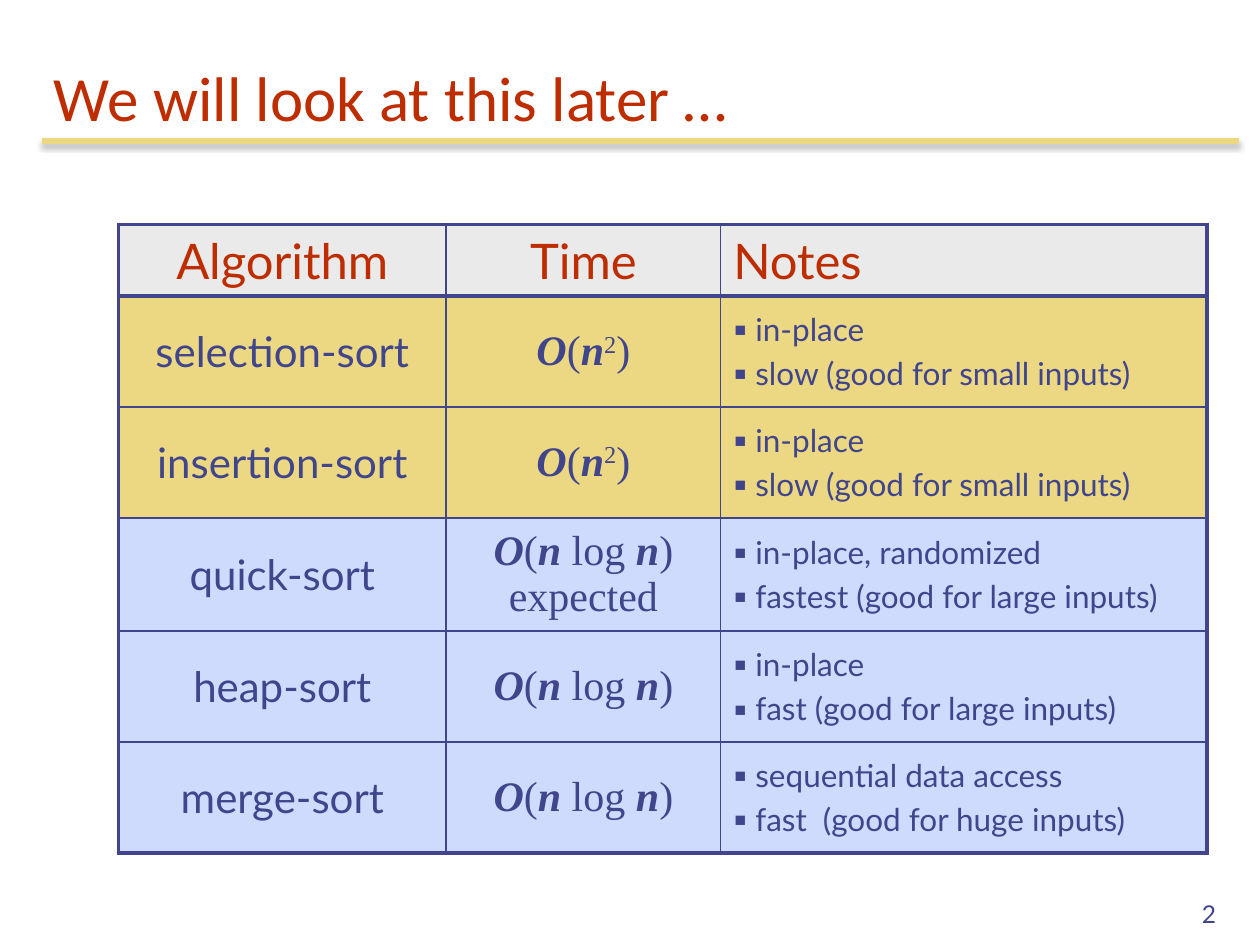
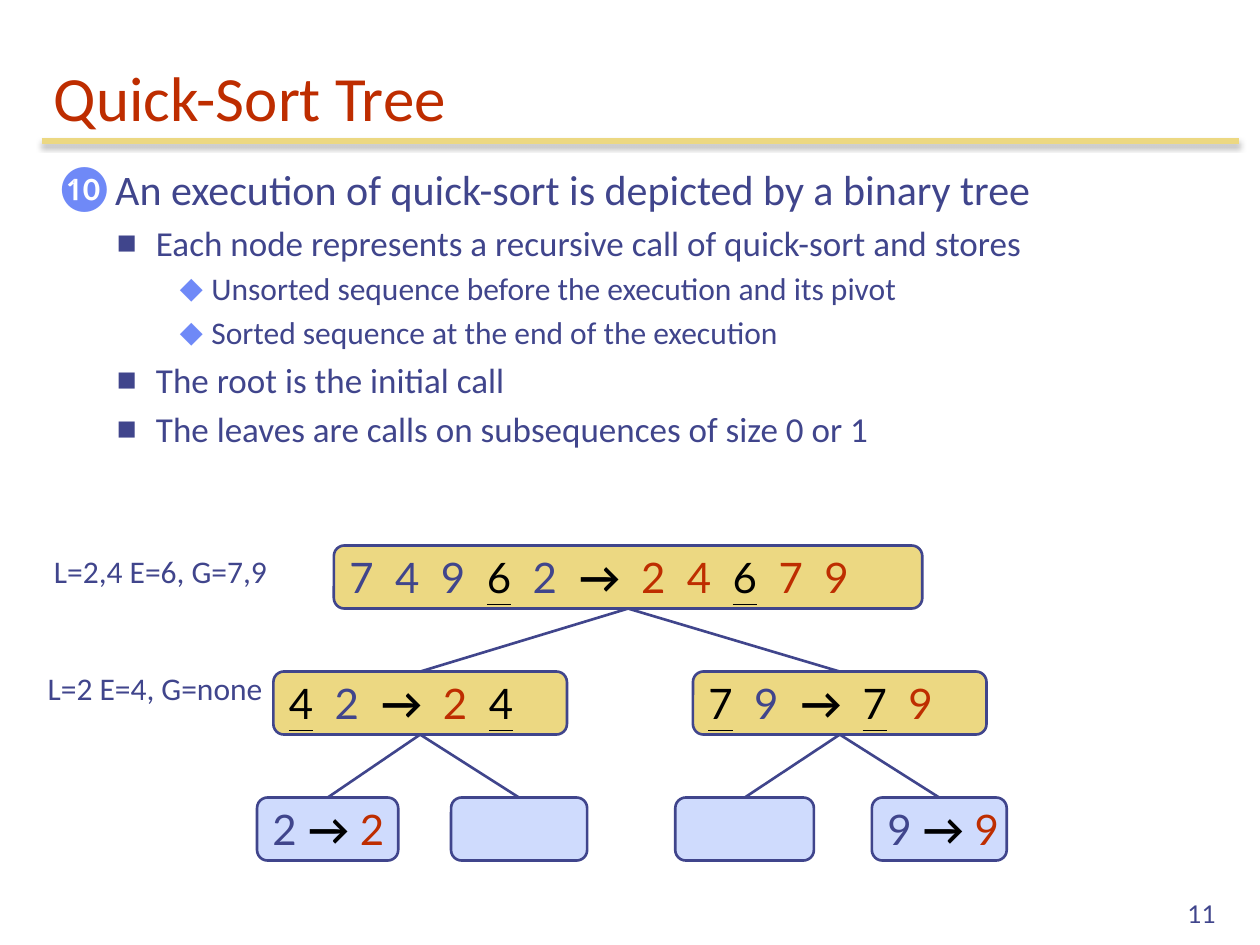
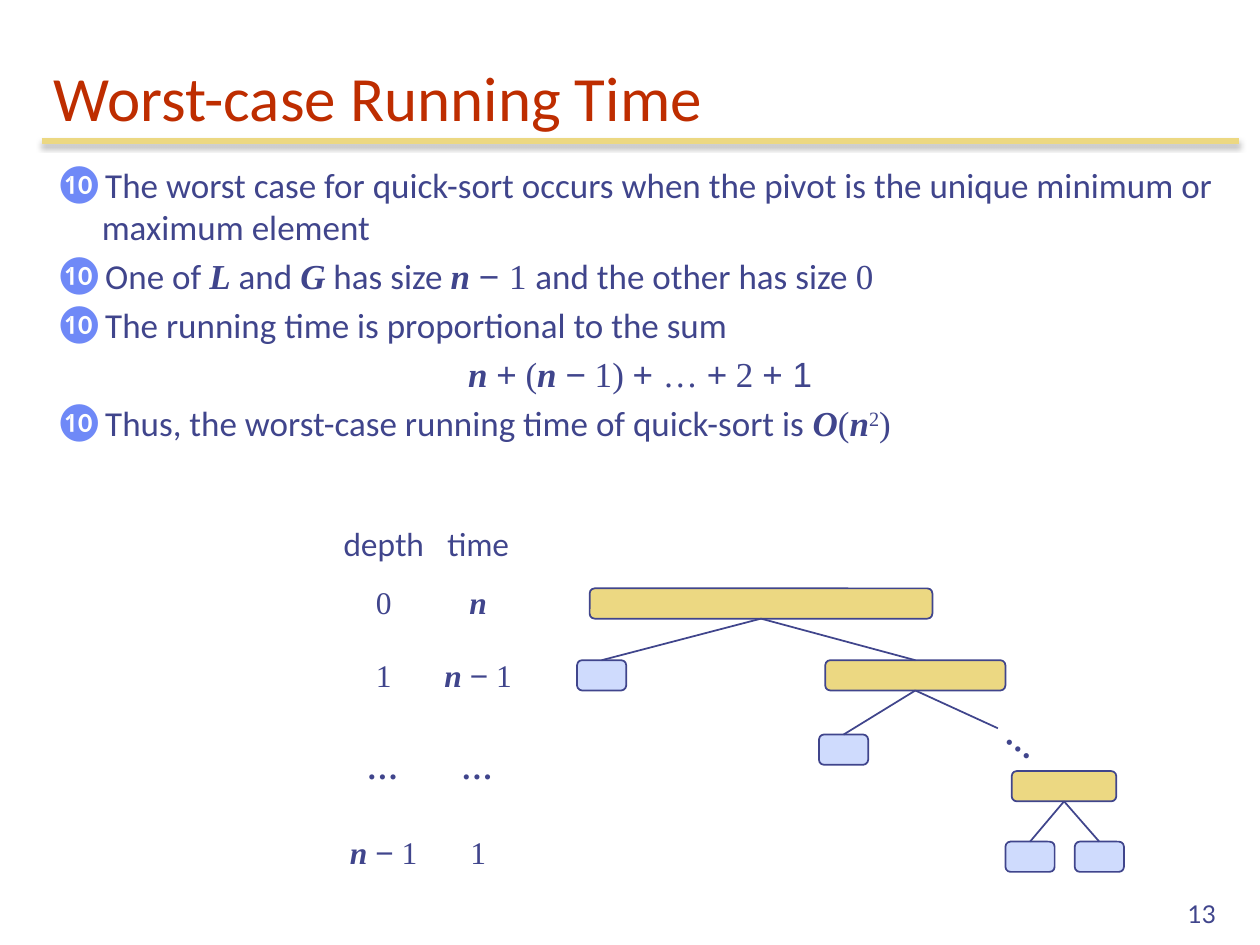
from dataclasses import dataclass
from typing import Optional

from lxml.etree import SubElement
from pptx import Presentation
from pptx.dml.color import RGBColor
from pptx.enum.shapes import MSO_CONNECTOR as Connector, MSO_SHAPE as Preset
from pptx.enum.text import MSO_ANCHOR as Anchor, PP_ALIGN as Align
from pptx.oxml.ns import qn
from pptx.util import Inches, Pt


@dataclass(frozen=True)
class Theme:
    """Colours, fonts and type sizes shared by all slides."""
    ink: str = "40458C"
    red: str = "BE2D00"
    gold: str = "ECD882"
    pale: str = "CFDBFD"
    grey: str = "EAEAEA"
    accent: str = "6F89F7"
    black: str = "000000"
    heading: str = "Calibri"
    label: str = "Lato"
    serif: str = "Times New Roman"
    symbol: str = "Arial"
    title: int = 36
    header: int = 28
    large: int = 24
    medium: int = 20
    small: int = 18
    page: int = 14
    thick: float = 2.25
    medium_line: float = 1.5
    thin: float = 1


THEME = Theme()


@dataclass(frozen=True)
class Box:
    """A region of the slide in inches."""
    left: float
    top: float
    width: float
    height: float

    def inside(self, left, top, width, height):
        """Return a box placed relative to this one."""
        return Box(self.left + left, self.top + top, width, height)

    def lengths(self):
        """Return the four measures as lengths."""
        return [Inches(v) for v in (self.left, self.top, self.width, self.height)]


@dataclass(frozen=True)
class Run:
    """A piece of text that differs from its paragraph's format."""
    text: str
    font: Optional[str] = None
    color: Optional[str] = None
    bold: bool = False
    italic: bool = False
    underline: bool = False
    raised: bool = False


@dataclass(frozen=True)
class Bullet:
    """A list marker with its indents in inches."""
    char: Optional[str]
    color: str
    percent: int
    left: float = 0
    hang: float = 0


@dataclass(frozen=True)
class Node:
    """A tree node placed relative to the tree's box."""
    left: float
    top: float
    width: float
    parent: Optional[int] = None
    content: tuple = ()
    leaf: bool = False


TOP = Bullet("❿", THEME.accent, 110, 0.38, 0.38)
SQUARE = Bullet("■", THEME.ink, 60, 0.81, 0.31)
DIAMOND = Bullet("◆", THEME.accent, 95, 1.25, 0.25)
UNMARKED = Bullet(None, THEME.ink, 100, 0.38, 0.38)
NOTE = Bullet("▪", THEME.ink, 110)
BODY = Box(0.33, 1.25, 9.5, 5.67)


def variable(text):
    """Return a bold italic mathematical variable."""
    return Run(text, font=THEME.serif, bold=True, italic=True)


def serif(text):
    """Return upright mathematical text."""
    return Run(text, font=THEME.serif)


def sign(text):
    """Return an arithmetic sign."""
    return Run(text, font=THEME.symbol)


def pivot(text):
    """Return an underlined pivot element."""
    return Run(text, color=THEME.black, underline=True)


def arrow(text):
    """Return the bold arrow between input and output."""
    return Run(text, color=THEME.black, bold=True)


def output(text):
    """Return sorted elements."""
    return Run(text, color=THEME.red)


QUADRATIC = (variable("O"), serif("("), variable("n"),
             Run("2", font=THEME.serif, raised=True), serif(")"))
LOG_START = (variable("O"), serif("("), variable("n"), serif(" log "), variable("n"))
LINEARITHMIC = LOG_START + (serif(")"),)
LESS_ONE = (variable("n "), sign("−"), serif(" 1"))


def rgb(color):
    """Return a colour object for a hex string."""
    return RGBColor.from_string(color)


def style_paragraph(paragraph, bullet, font, spaced):
    """Set proportional spacing and the list marker in the text's font."""
    properties = paragraph._p.get_or_add_pPr()
    if spaced:
        before = SubElement(properties, qn("a:spcBef"))
        SubElement(before, qn("a:spcPct"), val="20000")
    if bullet is None:
        return
    properties.set("marL", str(Inches(bullet.left)))
    properties.set("indent", str(-Inches(bullet.hang)))
    if bullet.char is None:
        SubElement(properties, qn("a:buNone"))
        return
    color = SubElement(properties, qn("a:buClr"))
    SubElement(color, qn("a:srgbClr"), val=bullet.color)
    SubElement(properties, qn("a:buSzPct"), val=str(bullet.percent * 1000))
    SubElement(properties, qn("a:buFont"), typeface=font)
    SubElement(properties, qn("a:buChar"), char=bullet.char)


def write(frame, content, *, size, font=THEME.label, color=THEME.ink,
          align=Align.LEFT, bullet=None, spaced=False):
    """Write one paragraph from a string or a sequence of strings and runs."""
    first = frame.paragraphs[0]
    paragraph = frame.add_paragraph() if first.runs else first
    paragraph.alignment = align
    style_paragraph(paragraph, bullet, font, spaced)
    for part in (content,) if isinstance(content, str) else content:
        piece = Run(part) if isinstance(part, str) else part
        for number, line in enumerate(piece.text.split("\n")):
            if number:
                paragraph.add_line_break()
            run = paragraph.add_run()
            run.text = line
            run.font.size = Pt(size)
            run.font.name = piece.font or font
            run.font.color.rgb = rgb(piece.color or color)
            run.font.bold = piece.bold
            run.font.italic = piece.italic
            run.font.underline = piece.underline
            if piece.raised:
                run.font._element.set("baseline", "30000")


def add_frame(slide, box, *, anchor=Anchor.TOP, wrap=True, rotation=0):
    """Add a text box and return its text frame."""
    shape = slide.shapes.add_textbox(*box.lengths())
    shape.rotation = rotation
    shape.text_frame.word_wrap = wrap
    shape.text_frame.vertical_anchor = anchor
    return shape.text_frame


def add_line(slide, start, end, color, width):
    """Add a straight connector and return it with its empty effect list."""
    line = slide.shapes.add_connector(
        Connector.STRAIGHT, *[Inches(v) for v in (*start, *end)])
    line.line.color.rgb = rgb(color)
    line.line.width = Pt(width)
    return line, SubElement(line._element.spPr, qn("a:effectLst"))


def add_base(presentation, title, page):
    """Add a slide with its title, shadowed rule and page number."""
    slide = presentation.slides.add_slide(presentation.slide_layouts[6])
    box = Box(0.33, 0.33, 9.5, 0.78)
    rule_top = box.top + box.height + 0.01
    effects = add_line(slide, (box.left, rule_top), (box.left + box.width, rule_top),
                       THEME.gold, 3)[1]
    shadow = SubElement(effects, qn("a:outerShdw"), blurRad=str(Pt(3.1)),
                        dist=str(Pt(1.8)), dir="5400000", rotWithShape="0")
    color = SubElement(shadow, qn("a:srgbClr"), val=THEME.black)
    SubElement(color, qn("a:alpha"), val="35000")
    write(add_frame(slide, box, anchor=Anchor.BOTTOM), title,
          size=THEME.title, font=THEME.heading, color=THEME.red)
    write(add_frame(slide, Box(7.67, 6.92, 2.08, 0.5), anchor=Anchor.BOTTOM),
          str(page), size=THEME.page, align=Align.RIGHT)
    return slide


def add_body(slide, box, items):
    """Add a list of (bullet, size, content) items."""
    frame = add_frame(slide, box)
    for bullet, size, content in items:
        align = Align.CENTER if bullet is UNMARKED else Align.LEFT
        write(frame, content, size=size, font=THEME.heading, align=align,
              bullet=bullet, spaced=True)


def add_grid(slide, box, widths, heights):
    """Add an unbanded table with the given column widths and row heights."""
    table = slide.shapes.add_table(len(heights), len(widths), *box.lengths()).table
    table.first_row = table.horz_banding = False
    for column, width in zip(table.columns, widths):
        column.width = Inches(width)
    for row, height in zip(table.rows, heights):
        row.height = Inches(height)
    return table


def set_borders(cell, widths):
    """Draw the left, right, top and bottom borders of a cell."""
    properties = cell._tc.get_or_add_tcPr()
    for index, (side, width) in enumerate(zip("LRTB", widths)):
        line = properties.makeelement(qn(f"a:ln{side}"), {"w": str(Pt(width))})
        fill = SubElement(line, qn("a:solidFill"))
        SubElement(fill, qn("a:srgbClr"), val=THEME.ink)
        properties.insert(index, line)


def add_sort_table(slide, box, headings, rows):
    """Add the comparison of sorting algorithms."""
    table = add_grid(slide, box, (2.6, 2.18, 3.86), (0.57, 0.88, 0.88, 0.9, 0.88, 0.88))
    last = len(rows)
    fills = [THEME.grey] + [THEME.gold] * 2 + [THEME.pale] * 3
    for r, values in enumerate([headings] + rows):
        for c, value in enumerate(values):
            cell = table.cell(r, c)
            cell.vertical_anchor = Anchor.MIDDLE
            cell.fill.solid()
            cell.fill.fore_color.rgb = rgb(fills[r])
            edges = (c == 0, c == 2, r <= 1, r in (0, last))
            set_borders(cell, [THEME.thick if edge else THEME.thin for edge in edges])
            align = Align.LEFT if c == 2 else Align.CENTER
            if r == 0:
                write(cell.text_frame, value, size=THEME.header, color=THEME.red,
                      align=align, spaced=True)
            elif c == 2:
                for note in value:
                    write(cell.text_frame, " " + note, size=THEME.small,
                          bullet=NOTE, spaced=True)
            else:
                write(cell.text_frame, value, size=THEME.large, align=align, spaced=True)


def add_depth_table(slide, box, rows):
    """Add the unruled table of depth and time."""
    table = add_grid(slide, box, [box.width / 2] * 2, (0.34, 0.56, 0.6, 0.87, 0.47))
    for r, values in enumerate(rows):
        for c, value in enumerate(values):
            cell = table.cell(r, c)
            cell.fill.background()
            cell.vertical_anchor = Anchor.MIDDLE if r else Anchor.TOP
            cell.margin_left = cell.margin_right = cell.margin_top = cell.margin_bottom = 0
            write(cell.text_frame, value, size=THEME.small, align=Align.CENTER, spaced=True)


def add_tree(slide, box, nodes, height, width):
    """Add rounded nodes, join each to its parent and return the shapes."""
    shapes = []
    for node in nodes:
        place = box.inside(node.left, node.top, node.width, height)
        shape = slide.shapes.add_shape(Preset.ROUNDED_RECTANGLE, *place.lengths())
        shape.shadow.inherit = False
        shape.fill.solid()
        shape.fill.fore_color.rgb = rgb(THEME.pale if node.leaf else THEME.gold)
        shape.line.color.rgb = rgb(THEME.ink)
        shape.line.width = Pt(width)
        if node.content:
            shape.text_frame.word_wrap = False
            shape.text_frame.vertical_anchor = Anchor.MIDDLE
            write(shape.text_frame, node.content, size=THEME.large)
        shapes.append(shape)
    for node, shape in zip(nodes, shapes):
        if node.parent is not None:
            line = add_line(slide, (0, 0), (0, 0), THEME.ink, width)[0]
            line.begin_connect(shapes[node.parent], 2)
            line.end_connect(shape, 0)
    return shapes


def add_worst_tree(slide, box):
    """Add the lopsided tree with its elided branch."""
    nodes = [
        Node(0.1, 0, 2.72),
        Node(0, 0.57, 0.39, 0, leaf=True),
        Node(1.97, 0.57, 1.43, 0),
        Node(1.92, 1.16, 0.39, 2, leaf=True),
        Node(3.45, 1.45, 0.83),
        Node(3.4, 2.01, 0.39, 4, leaf=True),
        Node(3.95, 2.01, 0.39, 4, leaf=True),
    ]
    shapes = add_tree(slide, box, nodes, 0.24, THEME.thin)
    end = (box.left + 3.34, box.top + 1.11)
    add_line(slide, end, end, THEME.ink, THEME.thin)[0].begin_connect(shapes[2], 2)
    dots = add_frame(slide, box.inside(3.35, 0.95, 0.47, 0.5), wrap=False, rotation=38.4)
    write(dots, "…", size=THEME.large)


def build_comparison(presentation):
    """Build the slide that compares the algorithms."""
    slide = add_base(presentation, "We will look at this later …", 2)
    slow = ("in-place", "slow (good for small inputs)")
    add_sort_table(slide, Box(0.94, 1.78, 8.64, 4.99), ("Algorithm", "Time", "Notes"), [
        ("selection-sort", QUADRATIC, slow),
        ("insertion-sort", QUADRATIC, slow),
        ("quick-sort", LOG_START + (serif(")\nexpected"),),
         ("in-place, randomized", "fastest (good for large inputs)")),
        ("heap-sort", LINEARITHMIC, ("in-place", "fast (good for large inputs)")),
        ("merge-sort", LINEARITHMIC,
         ("sequential data access", "fast  (good for huge inputs)")),
    ])


def build_quick_sort(presentation):
    """Build the slide that shows a quick-sort execution."""
    slide = add_base(presentation, "Quick-Sort Tree", 11)
    add_body(slide, BODY, [
        (TOP, THEME.large, "An execution of quick-sort is depicted by a binary tree"),
        (SQUARE, THEME.medium,
         "Each node represents a recursive call of quick-sort and stores"),
        (DIAMOND, THEME.small, "Unsorted sequence before the execution and its pivot"),
        (DIAMOND, THEME.small, "Sorted sequence at the end of the execution"),
        (SQUARE, THEME.medium, "The root is the initial call"),
        (SQUARE, THEME.medium, "The leaves are calls on subsequences of size 0 or 1"),
    ])
    add_tree(slide, Box(2.04, 4.33, 5.95, 2.5), [
        Node(0.61, 0, 4.67, None, (
            "7  4  9  ", pivot("6"), "  2  ", arrow("→  "), output("2  4  "),
            pivot("6"), output("  7  9"))),
        Node(0.13, 1, 2.33, 0,
             (pivot("4"), "  2  ", arrow("→  "), output("2  "), pivot("4"))),
        Node(3.46, 1, 2.33, 0,
             (pivot("7"), "  9  ", arrow("→  "), pivot("7"), output("  9"))),
        Node(0, 2, 1.12, 1, ("2 ", arrow("→ "), output("2")), leaf=True),
        Node(1.54, 2, 1.08, 1, leaf=True),
        Node(3.32, 2, 1.1, 2, leaf=True),
        Node(4.88, 2, 1.07, 2, ("9 ", arrow("→ "), output("9")), leaf=True),
    ], 0.5, THEME.medium_line)
    for box, text in ((Box(0.33, 4.33, 1.91, 0.4), "L=2,4 E=6, G=7,9"),
                      (Box(0.28, 5.26, 1.93, 0.4), "L=2 E=4, G=none")):
        write(add_frame(slide, box, wrap=False), text,
              size=THEME.small, font=THEME.heading)


def build_worst_case(presentation):
    """Build the slide on the worst-case running time."""
    slide = add_base(presentation, "Worst-case Running Time", 13)
    contents = [
        (TOP, "The worst case for quick-sort occurs when the pivot is the unique "
              "minimum or maximum element"),
        (TOP, ("One of ", variable("L"), " and ", variable("G"), " has size ",
               variable("n "), sign("− "), serif("1 "), "and the other has size ",
               serif("0"))),
        (TOP, "The running time is proportional to the sum"),
        (UNMARKED, (variable("n "), sign("+"), serif(" ("), variable("n "), sign("−"),
                    serif(" 1) "), sign("+ "), serif("… "), sign("+"), serif(" 2 "),
                    sign("+ 1"))),
        (TOP, ("Thus, the worst-case running time of quick-sort is ",) + QUADRATIC),
    ]
    add_body(slide, BODY, [(bullet, THEME.medium, text) for bullet, text in contents])
    add_worst_tree(slide, Box(4.58, 4.67, 4.34, 2.25))
    add_depth_table(slide, Box(2.67, 4.17, 1.5, 2.84), [
        ("depth", "time"),
        ((serif("0"),), (variable("n"),)),
        ((serif("1"),), LESS_ONE),
        ((variable("…"),), (variable("…"),)),
        (LESS_ONE, (serif("1"),)),
    ])


def main():
    """Build and save the presentation."""
    presentation = Presentation()
    presentation.slide_width = Inches(10)
    presentation.slide_height = Inches(7.5)
    build_comparison(presentation)
    build_quick_sort(presentation)
    build_worst_case(presentation)
    presentation.save("out.pptx")


main()
